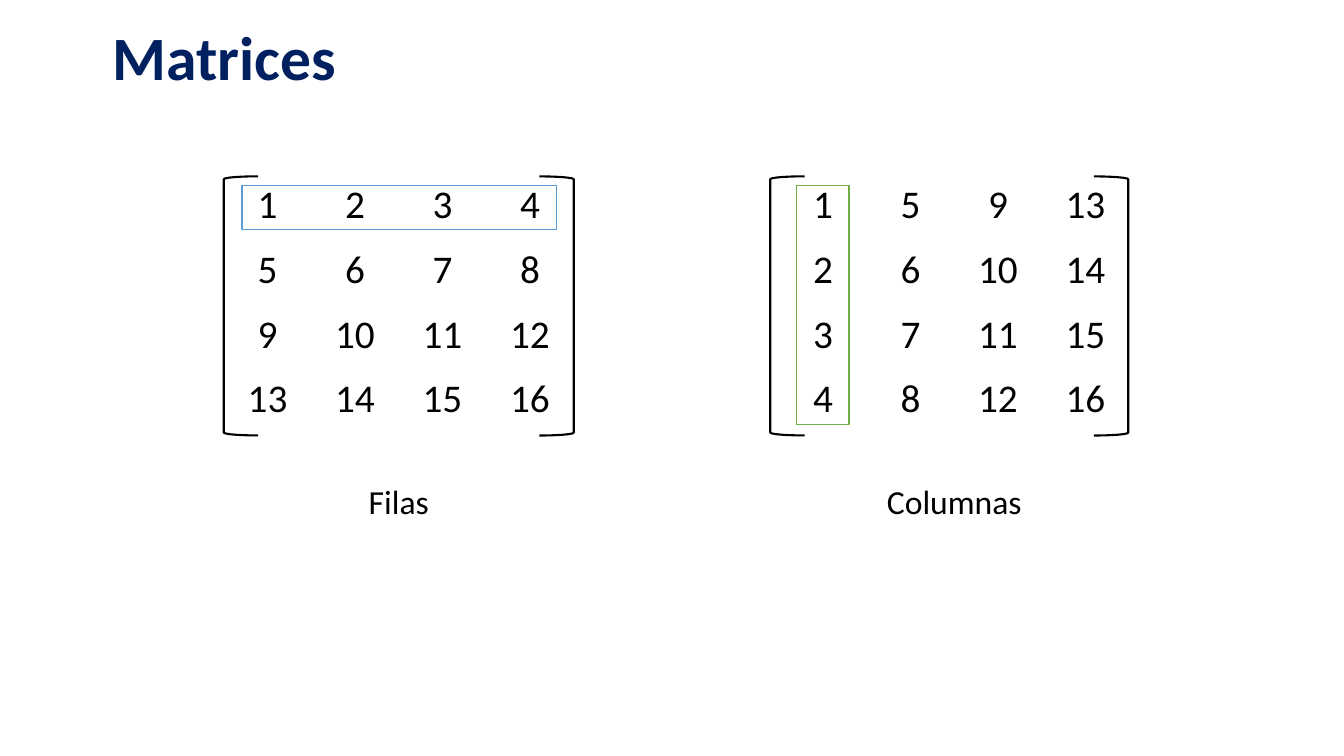
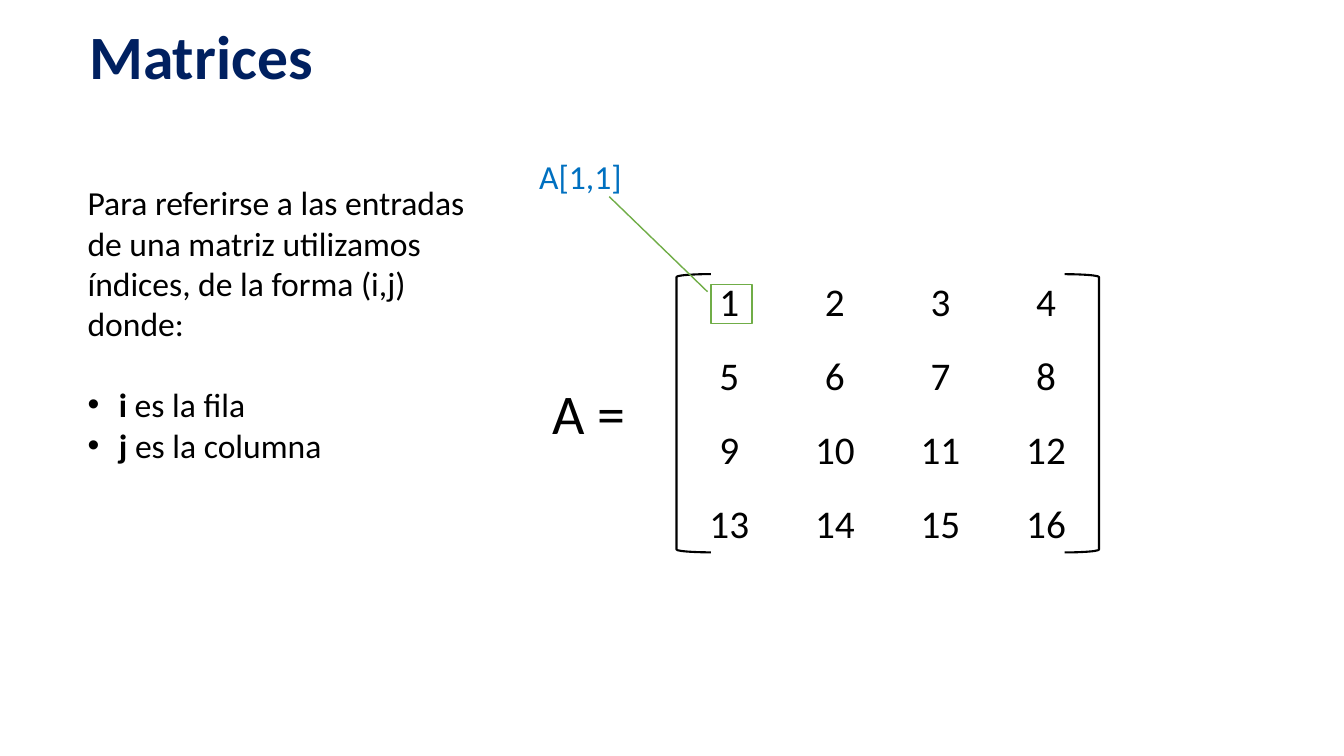
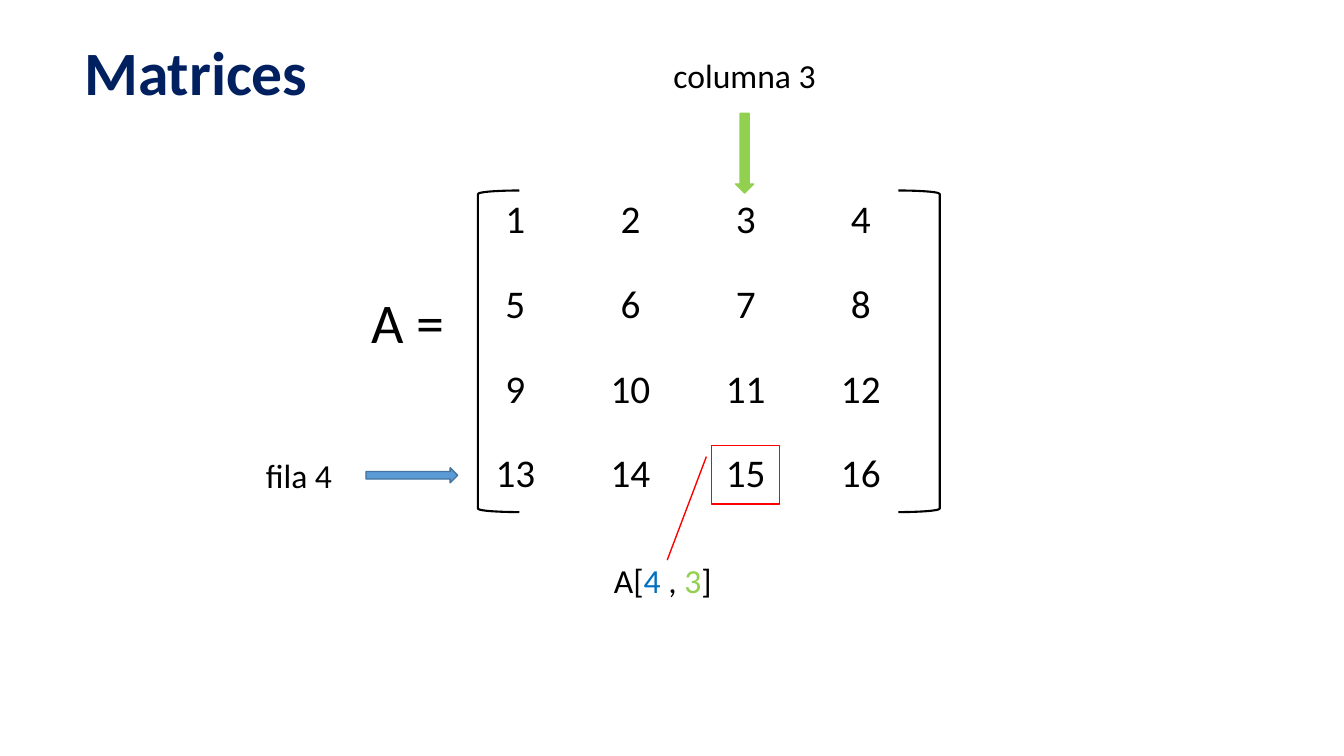
import dataclasses
import typing

import lxml.etree
import pptx
import pptx.dml.color
import pptx.enum.shapes
import pptx.enum.text
import pptx.oxml.ns
import pptx.util

PX = 9144  # EMU per px, 100 px to the inch
FONT = "Calibri"
BLACK, NAVY, BLUE, LIME = "000000", "002060", "0070C0", "92D050"
SKY, STEEL, GREEN, RED = "5B9BD5", "43739E", "70AD47", "FF0000"
NO_GRID_STYLE = "{2D5ABB26-0587-4C30-8999-92F81FD0307C}"
INDENT = 31
SIZE = 4

SHAPE = pptx.enum.shapes.MSO_SHAPE
CENTER = pptx.enum.text.PP_ALIGN.CENTER
LEFT = pptx.enum.text.PP_ALIGN.LEFT

BY_ROWS = [[SIZE * i + j + 1 for j in range(SIZE)] for i in range(SIZE)]
BY_COLUMNS = [list(column) for column in zip(*BY_ROWS)]


class Box(typing.NamedTuple):
    left: int
    top: int
    width: int
    height: int

    def emu(self) -> list[int]:
        return [v * PX for v in self]


class Run(typing.NamedTuple):
    text: str
    color: str = BLACK
    bold: bool = False


@dataclasses.dataclass
class Matrix:
    """Number grid with a pair of brackets spanning the box `frame`."""
    values: list[list[int]]
    grid: Box
    frame: Box
    bracket_width: int = 34


@dataclasses.dataclass
class Label:
    box: Box
    paragraphs: list[list[Run]]
    size: int = 24
    align: typing.Any = LEFT


@dataclasses.dataclass
class Figure:
    kind: typing.Any
    box: Box
    line: str
    fill: str | None = None
    weight: float = 1
    rotation: int = 0
    adjustments: tuple[float, ...] = ()


def rgb(color: str) -> pptx.dml.color.RGBColor:
    return pptx.dml.color.RGBColor.from_string(color)


def set_all(target, values: dict) -> None:
    for name, value in values.items():
        setattr(target, name, value)


def add_run(p, run: Run, size: int) -> None:
    r = p.add_run()
    r.text = run.text
    set_all(r.font, {"name": FONT, "size": pptx.util.Pt(size), "bold": run.bold})
    r.font.color.rgb = rgb(run.color)


def add_title(s, box: Box) -> None:
    title = s.shapes.title
    set_all(title, dict(zip(("left", "top", "width", "height"), box.emu())))
    tf = title.text_frame
    set_all(tf, {"vertical_anchor": pptx.enum.text.MSO_ANCHOR.BOTTOM, "word_wrap": True,
                 "auto_size": pptx.enum.text.MSO_AUTO_SIZE.NONE})
    p = tf.paragraphs[0]
    set_all(p, {"alignment": CENTER, "line_spacing": 0.9})
    add_run(p, Run("Matrices", NAVY, True), 44)


def add_figure(s, figure: Figure) -> None:
    sp = s.shapes.add_shape(figure.kind, *figure.box.emu())
    sp.rotation = figure.rotation
    sp.shadow.inherit = False
    if figure.fill:
        sp.fill.solid()
        sp.fill.fore_color.rgb = rgb(figure.fill)
    else:
        sp.fill.background()
    sp.line.color.rgb = rgb(figure.line)
    sp.line.width = pptx.util.Pt(figure.weight)
    for i, value in enumerate(figure.adjustments):
        sp.adjustments[i] = value


def add_label(s, label: Label):
    sp = s.shapes.add_textbox(*label.box.emu())
    tf = sp.text_frame
    set_all(tf, {"word_wrap": True,
                 "auto_size": pptx.enum.text.MSO_AUTO_SIZE.SHAPE_TO_FIT_TEXT})
    for i, runs in enumerate(label.paragraphs):
        p = tf.add_paragraph() if i else tf.paragraphs[0]
        p.alignment = label.align
        for run in runs:
            add_run(p, run, label.size)
    return sp


def add_bullet(p) -> None:
    pPr = p._p.get_or_add_pPr()
    pPr.set("marL", str(INDENT * PX))
    pPr.set("indent", str(-INDENT * PX))
    for tag, key, value in (("a:buFont", "typeface", "Arial"), ("a:buChar", "char", "•")):
        lxml.etree.SubElement(pPr, pptx.oxml.ns.qn(tag)).set(key, value)


def add_matrix(s, matrix: Matrix) -> None:
    table = s.shapes.add_table(SIZE, SIZE, *matrix.grid.emu()).table
    set_all(table, {"first_row": False, "horz_banding": False})
    table._tbl.tblPr.find(pptx.oxml.ns.qn("a:tableStyleId")).text = NO_GRID_STYLE
    for i, row in enumerate(matrix.values):
        for j, value in enumerate(row):
            cell = table.cell(i, j)
            cell.fill.background()
            p = cell.text_frame.paragraphs[0]
            p.alignment = CENTER
            add_run(p, Run(str(value)), 28)
    frame, width = matrix.frame, matrix.bracket_width
    for left, rotation in ((frame.left, 0), (frame.left + frame.width - width, 180)):
        add_figure(s, Figure(SHAPE.LEFT_BRACKET, Box(left, frame.top, width, frame.height),
                             BLACK, weight=1.5, rotation=rotation))


def build_rows_and_columns(s) -> None:
    add_title(s, Box(-4, 19, 453, 79))
    add_matrix(s, Matrix(BY_ROWS, Box(222, 175, 347, 257), Box(222, 175, 347, 257)))
    add_matrix(s, Matrix(BY_COLUMNS, Box(773, 175, 347, 257), Box(764, 175, 355, 257)))
    add_figure(s, Figure(SHAPE.RECTANGLE, Box(240, 184, 312, 44), SKY))
    add_figure(s, Figure(SHAPE.RECTANGLE, Box(790, 184, 52, 237), GREEN))
    for left, text in ((295, "Filas"), (846, "Columnas")):
        add_label(s, Label(Box(left, 472, 201, 50), [[Run(text)]], align=CENTER))


def build_indices(s) -> None:
    add_title(s, Box(-27, 18, 453, 79))
    add_matrix(s, Matrix(BY_ROWS, Box(671, 272, 419, 294), Box(671, 272, 419, 276)))
    add_figure(s, Figure(SHAPE.LINE_CALLOUT_1, Box(705, 282, 41, 39), GREEN,
                         adjustments=(0.19, -0.08, -2.23, -2.46)))
    add_label(s, Label(Box(538, 371, 104, 77), [[Run("A =")]], 40))
    add_label(s, Label(Box(525, 150, 104, 50), [[Run("A[1,1]", BLUE)]]))
    intro = ("Para referirse a las entradas de una matriz utilizamos índices, "
             "de la forma (i,j) donde:")
    sp = add_label(s, Label(Box(77, 176, 419, 293), [
        [Run(intro)],
        [Run("i", bold=True), Run(" es la fila")],
        [Run("j ", bold=True), Run("es la columna")],
    ]))
    bullets = sp.text_frame.paragraphs[1:]
    bullets[0].space_before = pptx.util.Pt(29)
    for p in bullets:
        add_bullet(p)


def build_entry(s) -> None:
    add_title(s, Box(-32, 34, 453, 79))
    add_matrix(s, Matrix(BY_ROWS, Box(454, 190, 457, 336), Box(474, 189, 458, 319), 41))
    add_figure(s, Figure(SHAPE.LINE_CALLOUT_1, Box(706, 442, 67, 58), RED,
                         adjustments=(0.19, -0.08, 1.96, -0.66)))
    add_label(s, Label(Box(359, 280, 124, 77), [[Run("A =")]], 40))
    add_label(s, Label(Box(599, 551, 131, 50), [[
        Run("A["), Run("4 ", BLUE), Run(", "), Run("3", LIME), Run("]")]]))
    for left, top, text in ((196, 446, "fila 4"), (638, 50, "columna 3")):
        add_label(s, Label(Box(left, top, 201, 50), [[Run(text)]], align=CENTER))
    add_figure(s, Figure(SHAPE.RIGHT_ARROW, Box(363, 464, 91, 15), STEEL, SKY))
    add_figure(s, Figure(SHAPE.RIGHT_ARROW, Box(699, 143, 79, 18), LIME, LIME, rotation=90))


def main() -> None:
    prs = pptx.Presentation()
    set_all(prs, {"slide_width": 1333 * PX, "slide_height": 750 * PX})
    title_only = prs.slide_layouts.get_by_name("Title Only")
    for build in (build_rows_and_columns, build_indices, build_entry):
        build(prs.slides.add_slide(title_only))
    prs.save("out.pptx")


if __name__ == "__main__":
    main()
